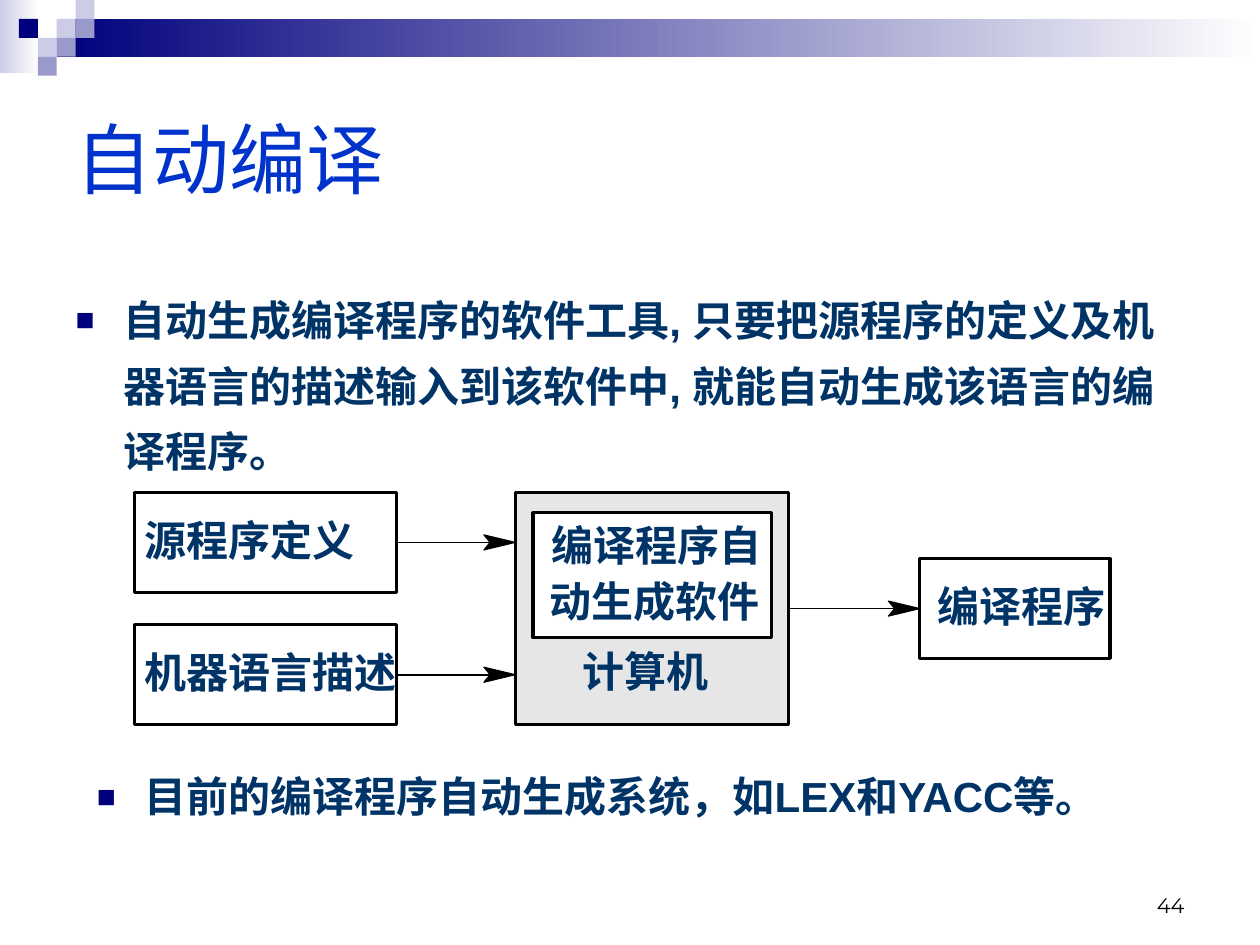
from lxml.etree import SubElement
from pptx import Presentation
from pptx.dml.color import RGBColor
from pptx.enum.shapes import MSO_CONNECTOR, MSO_SHAPE
from pptx.enum.text import MSO_ANCHOR, MSO_AUTO_SIZE, PP_ALIGN
from pptx.oxml.ns import qn
from pptx.util import Inches, Pt

NAVY = RGBColor(0x00, 0x00, 0x7D)
VIOLET = RGBColor(0x99, 0x99, 0xCC)
LILAC = RGBColor(0xCC, 0xCC, 0xE6)
BLUE = RGBColor(0x00, 0x33, 0xCC)
INK = RGBColor(0x00, 0x33, 0x66)
GREY = RGBColor(0xE6, 0xE6, 0xE6)
BLACK = RGBColor(0x00, 0x00, 0x00)
WHITE = RGBColor(0xFF, 0xFF, 0xFF)

CJK = "Noto Sans CJK SC"
TITLE = {"name": "Arial", "size": Pt(44), "bold": False}
BODY = {"name": "Arial", "size": Pt(24), "bold": True}
LABEL = {"name": CJK, "size": Pt(24), "bold": True}
NUMBER = {"name": "Montserrat", "size": Pt(12), "bold": False}

UNIT = 0.15  # side of one square in the header mosaic
MOSAIC = [  # column, row, colour
    (3, 1, LILAC), (4, 0, LILAC), (4, 1, VIOLET), (2, 2, LILAC),
    (1, 1, NAVY), (3, 2, VIOLET), (2, 3, VIOLET),
]
BOX_H = 0.79
INPUT_X, INPUT_W = 1.07, 2.08
COMPUTER_X, COMPUTER_W = 4.09, 2.17
OUTPUT_X, OUTPUT_W = 7.3, 1.51
ROW_TOPS = (3.91, 4.96)
LABEL_DROP = 0.17  # from the top of a box to the top of its label


def inches(*values):
    return [Inches(v) for v in values]


def add_rect(s, x, y, w, h, fill, line=None):
    sp = s.shapes.add_shape(MSO_SHAPE.RECTANGLE, *inches(x, y, w, h))
    sp.shadow.inherit = False
    sp.fill.solid()
    sp.fill.fore_color.rgb = fill
    if line is None:
        sp.line.fill.background()
    else:
        sp.line.color.rgb = line
        sp.line.width = Pt(1.75)
    return sp


def add_fade(s, x, y, w, h, color):
    """Rectangle fading from color to white, left to right."""
    sp = add_rect(s, x, y, w, h, color)
    sp.fill.gradient()
    sp.fill.gradient_angle = 0
    for stop, rgb in zip(sp.fill.gradient_stops, (color, WHITE)):
        stop.color.rgb = rgb


def write(sp, text, style, color, align=PP_ALIGN.LEFT):
    tf = sp.text_frame
    tf.auto_size = MSO_AUTO_SIZE.NONE
    p = tf.paragraphs[0]
    p.alignment = align
    r = p.add_run()
    r.text = text
    for name, value in style.items():
        setattr(r.font, name, value)
    r.font.color.rgb = color
    SubElement(r.font._element, qn("a:ea"), typeface=CJK)
    return p


def add_bullet(sp, text):
    sp.text_frame.word_wrap = True
    p = write(sp, text, BODY, INK)
    p.line_spacing = 1.3
    p.space_before = Pt(6)
    pPr = p._p.get_or_add_pPr()
    pPr.set("marL", str(Inches(0.38)))
    pPr.set("indent", str(-Inches(0.38)))
    clr = SubElement(pPr, qn("a:buClr"))
    SubElement(clr, qn("a:srgbClr"), val=str(NAVY))
    SubElement(pPr, qn("a:buSzPct"), val="75000")
    SubElement(pPr, qn("a:buFont"), typeface="Arial")
    SubElement(pPr, qn("a:buChar"), char="■")


def add_label(s, x, y, text):
    """Unwrapped label without insets, one third of an inch per character."""
    sp = s.shapes.add_textbox(*inches(x, y, len(text) / 3, 0.4))
    tf = sp.text_frame
    for side in ("left", "top", "right", "bottom"):
        setattr(tf, f"margin_{side}", 0)
    tf.word_wrap = False
    write(sp, text, LABEL, INK)


def add_arrow(s, x1, x2, y):
    """Horizontal line ending in a notched head whose tip is at x2."""
    back, half = x2 - 0.25, 0.06
    line = s.shapes.add_connector(MSO_CONNECTOR.STRAIGHT,
                                  *inches(x1, y, back + 0.08, y))
    line.line.color.rgb = BLACK
    line.line.width = Pt(1)
    SubElement(line._element.spPr, qn("a:effectLst"))

    corners = [(back + 0.05, y), (back, y + half), (x2, y)]
    fb = s.shapes.build_freeform(*inches(back, y - half))
    fb.add_line_segments([inches(*c) for c in corners], close=True)
    head = fb.convert_to_shape()
    head.shadow.inherit = False
    head.fill.solid()
    head.fill.fore_color.rgb = BLACK
    head.line.color.rgb = BLACK
    head.line.width = Pt(0.62)


def place(sp, x, y, w, h):
    sp.left, sp.top, sp.width, sp.height = inches(x, y, w, h)


def draw_header(s):
    add_fade(s, 0, 0, 0.31, 0.58, LILAC)
    add_fade(s, 3 * UNIT, UNIT, 10 - 3 * UNIT, 2 * UNIT, NAVY)
    for col, row, color in MOSAIC:
        add_rect(s, col * UNIT, row * UNIT, UNIT, UNIT, color)


def draw_diagram(s):
    for top, text in zip(ROW_TOPS, ("源程序定义", "机器语言描述")):
        add_rect(s, INPUT_X, top, INPUT_W, BOX_H, WHITE, BLACK)
        add_label(s, INPUT_X + 0.08, top + LABEL_DROP, text)
        add_arrow(s, INPUT_X + INPUT_W, COMPUTER_X, top + BOX_H / 2)

    top, bottom = ROW_TOPS[0], ROW_TOPS[1] + BOX_H
    add_rect(s, COMPUTER_X, top, COMPUTER_W, bottom - top, GREY, BLACK)
    add_label(s, 4.62, 5.12, "计算机")
    add_rect(s, COMPUTER_X + 0.14, 4.07, COMPUTER_W - 0.28, 0.99, WHITE, BLACK)
    add_label(s, 4.38, 4.12, "编译程序自")
    add_label(s, 4.36, 4.57, "动生成软件")

    middle = (top + bottom) / 2
    add_arrow(s, COMPUTER_X + COMPUTER_W, OUTPUT_X, middle)
    out_top = middle - BOX_H / 2
    add_rect(s, OUTPUT_X, out_top, OUTPUT_W, BOX_H, WHITE, BLACK)
    add_label(s, OUTPUT_X + 0.14, out_top + LABEL_DROP, "编译程序")


def main():
    prs = Presentation()
    prs.slide_width, prs.slide_height = inches(10, 7.5)
    s = prs.slides.add_slide(prs.slide_layouts[1])
    draw_header(s)

    title, body = s.shapes.title, s.placeholders[1]
    place(title, 0.5, 0.5, 9, 1.5)
    title.text_frame.vertical_anchor = MSO_ANCHOR.MIDDLE
    write(title, "自动编译", TITLE, BLUE)
    place(body, 0.5, 2.17, 9, 1.74)
    add_bullet(body, "自动生成编译程序的软件工具, 只要把源程序的定义及机器语言的描述"
                     "输入到该软件中, 就能自动生成该语言的编译程序。")

    draw_diagram(s)

    systems = s.shapes.add_textbox(*inches(0.67, 5.95, 8.27, 0.85))
    add_bullet(systems, "目前的编译程序自动生成系统，如LEX和YACC等。")

    number = s.shapes.add_textbox(*inches(7.17, 6.83, 2.33, 0.5))
    number.text_frame.vertical_anchor = MSO_ANCHOR.BOTTOM
    write(number, "44", NUMBER, BLACK, PP_ALIGN.RIGHT)

    prs.save("out.pptx")


if __name__ == "__main__":
    main()
